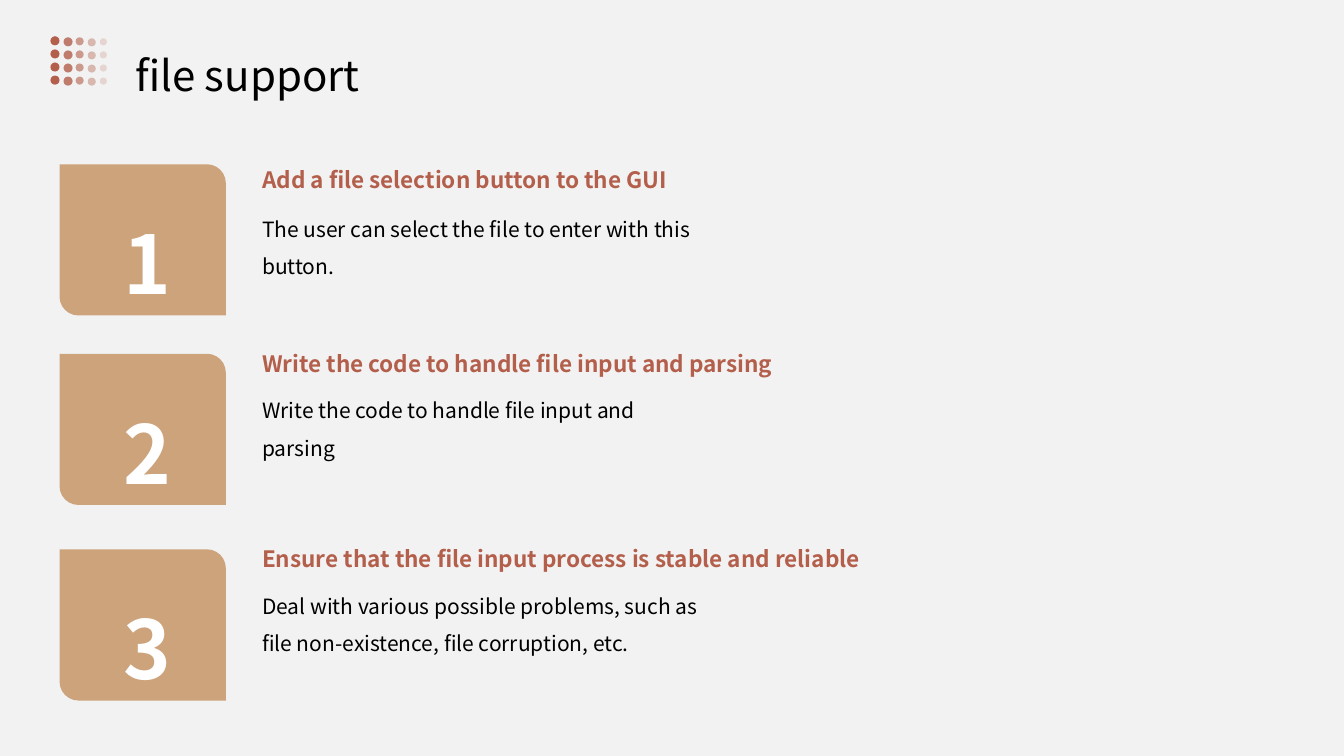
"""Build the "file support" slide with three numbered steps."""
from lxml import etree
from pptx import Presentation, util as u
from pptx.dml.color import RGBColor
from pptx.enum import shapes, text
from pptx.oxml.ns import qn

STEPS = [
    (1.63, 1.37, 1.88, 4.61, "Add a file selection button to the GUI",
     "The user can select the file to enter with this button."),
    (3.51, 3.2, 3.68, 5.63, "Write the code to handle file input and parsing",
     "Write the code to handle file input and parsing"),
    (5.45, 5.13, 5.62, 7.29, "Ensure that the file input process is stable and reliable",
     "Deal with various possible problems, such as file non-existence, file corruption, etc."),
]
DOT_COLUMNS = [(0.5, 0.36, 0.09), (0.63, 0.37, 0.09), (0.75, 0.37, 0.08),
               (0.87, 0.38, 0.08), (0.99, 0.38, 0.07)]


def rgb(value):
    return RGBColor.from_string(value)


class Deck:
    FONT = "Noto Sans CJK SC"
    BACKGROUND, ACCENT, CARD, INK, WHITE = "F2F2F2", "B35F4B", "CCA37B", "000000", "FFFFFF"

    def __init__(self):
        self.prs = Presentation()
        self.prs.slide_width = u.Inches(13.33)
        self.prs.slide_height = u.Inches(7.5)
        self.s = self.prs.slides.add_slide(self.prs.slide_layouts[5])
        fill = self.s.background.fill
        fill.solid()
        fill.fore_color.rgb = rgb(self.BACKGROUND)

    def set_text(self, sp, words, size, color, bold=False, align=text.PP_ALIGN.LEFT):
        tf = sp.text_frame
        tf.word_wrap = True
        tf.auto_size = text.MSO_AUTO_SIZE.SHAPE_TO_FIT_TEXT
        tf.vertical_anchor = text.MSO_ANCHOR.TOP
        tf.margin_left = tf.margin_top = tf.margin_bottom = u.Inches(0.14)
        tf.margin_right = u.Inches(0.06)
        p = tf.paragraphs[0]
        p.text = words
        p.alignment = align
        p.line_spacing = 1.5
        p.space_before = u.Pt(0)
        p.font.name = self.FONT
        p.font.size = u.Pt(size)
        p.font.bold = bold
        p.font.color.rgb = rgb(color)

    def title(self, words, left, top, width, height):
        sp = self.s.shapes.title
        sp.left, sp.top = u.Inches(left), u.Inches(top)
        sp.width, sp.height = u.Inches(width), u.Inches(height)
        self.set_text(sp, words, 30, self.INK)

    def label(self, words, left, top, width, height, size, color, **style):
        sp = self.s.shapes.add_textbox(*map(u.Inches, (left, top, width, height)))
        self.set_text(sp, words, size, color, **style)

    def shape(self, kind, left, top, width, height, color, opacity=100):
        sp = self.s.shapes.add_shape(kind, *map(u.Inches, (left, top, width, height)))
        sp.shadow.inherit = False
        sp.line.fill.background()
        sp.fill.solid()
        sp.fill.fore_color.rgb = rgb(color)
        if opacity < 100:
            clr = sp.element.spPr.find(qn("a:solidFill"))[0]
            etree.SubElement(clr, qn("a:alpha")).set("val", str(opacity * 1000))
        return sp

    def card(self, number, top):
        sp = self.shape(shapes.MSO_SHAPE.ROUND_2_DIAG_RECTANGLE, 0.59, top, 1.65, 1.5, self.CARD)
        sp.adjustments[0], sp.adjustments[1] = 0, 0.125
        self.label(str(number), 0.81, top - 0.13, 1.22, 1.77, 57.8, self.WHITE,
                   bold=True, align=text.PP_ALIGN.CENTER)

    def dots(self):
        for row in range(4):
            for col, (left, top, size) in enumerate(DOT_COLUMNS):
                self.shape(shapes.MSO_SHAPE.OVAL, left, top + 0.13 * row, size, size,
                           self.ACCENT, 100 - 20 * col)


def main():
    deck = Deck()
    deck.title("file support", 1.2, 0.1, 10.94, 1.03)
    deck.dots()
    for number, (top, head_top, body_top, head_width, head, body) in enumerate(STEPS, 1):
        deck.card(number, top)
        deck.label(head, 2.46, head_top, head_width, 0.68, 16.1, deck.ACCENT, bold=True)
        deck.label(body, 2.46, body_top, 4.63, 1.03, 15, deck.INK)
    deck.prs.save("out.pptx")


if __name__ == "__main__":
    main()
